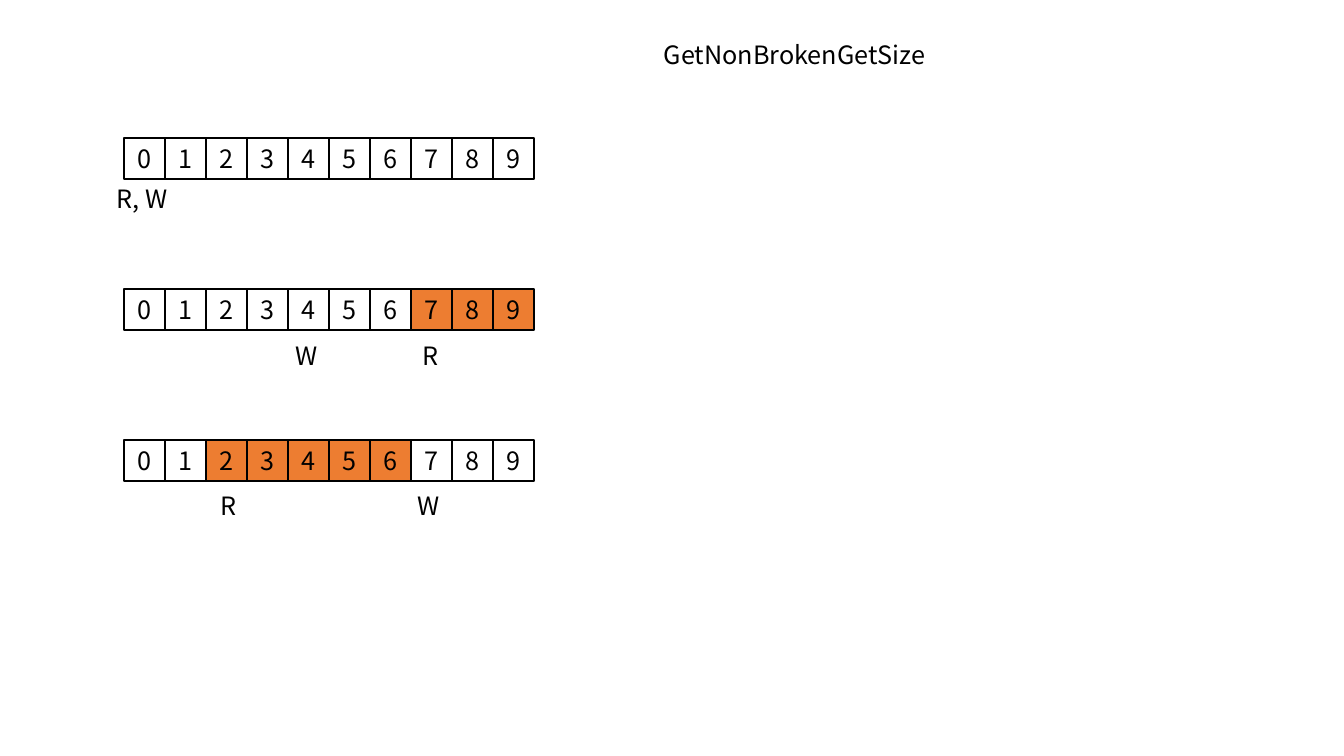
"""Draw three ring buffer states with their read and write positions."""
from pptx import Presentation
from pptx.dml.color import RGBColor
from pptx.enum.shapes import MSO_SHAPE
from pptx.enum.text import MSO_ANCHOR, MSO_AUTO_SIZE, PP_ALIGN
from pptx.util import Pt

PX = 914400 / 100.8
BLACK = RGBColor(0x00, 0x00, 0x00)
WHITE = RGBColor(0xFF, 0xFF, 0xFF)
ORANGE = RGBColor(0xED, 0x7D, 0x31)
FONT = "Noto Sans CJK KR"
CELL = 41
CELL_COUNT = 10
BUFFER_LEFT = 124
BUFFER_TOP = 138
BUFFER_PITCH = 151


def px(*lengths):
    return [round(length * PX) for length in lengths]


def write(shape, text):
    shape.text_frame.text = text
    para = shape.text_frame.paragraphs[0]
    font = para.runs[0].font
    font.name, font.size = FONT, Pt(18)
    font.color.rgb = BLACK
    return para


deck = Presentation()
deck.slide_width, deck.slide_height = px(1344, 756)
page = deck.slides.add_slide(deck.slide_layouts[6])

filled_cells = [range(0), range(7, 10), range(2, 7)]
for row, filled in enumerate(filled_cells):
    top = BUFFER_TOP + row * BUFFER_PITCH
    for index in range(CELL_COUNT):
        left = BUFFER_LEFT + index * CELL
        cell = page.shapes.add_shape(MSO_SHAPE.RECTANGLE, *px(left, top, CELL, CELL))
        cell.shadow.inherit = False
        cell.fill.solid()
        cell.fill.fore_color.rgb = ORANGE if index in filled else WHITE
        cell.line.color.rgb = BLACK
        cell.line.width = Pt(1)
        cell.text_frame.vertical_anchor = MSO_ANCHOR.MIDDLE
        write(cell, str(index)).alignment = PP_ALIGN.CENTER

labels = [
    ("R, W", 107, 178, 75, False),
    ("W", 286, 335, 44, False),
    ("R", 413, 335, 36, False),
    ("R", 211, 485, 36, False),
    ("W", 408, 485, 44, False),
    ("GetNonBrokenGetSize", 654, 34, 282, True),
]
for text, left, top, width, wrap in labels:
    box = page.shapes.add_textbox(*px(left, top, width, 40))
    box.text_frame.word_wrap = wrap
    box.text_frame.auto_size = MSO_AUTO_SIZE.SHAPE_TO_FIT_TEXT
    write(box, text)

deck.save("out.pptx")
